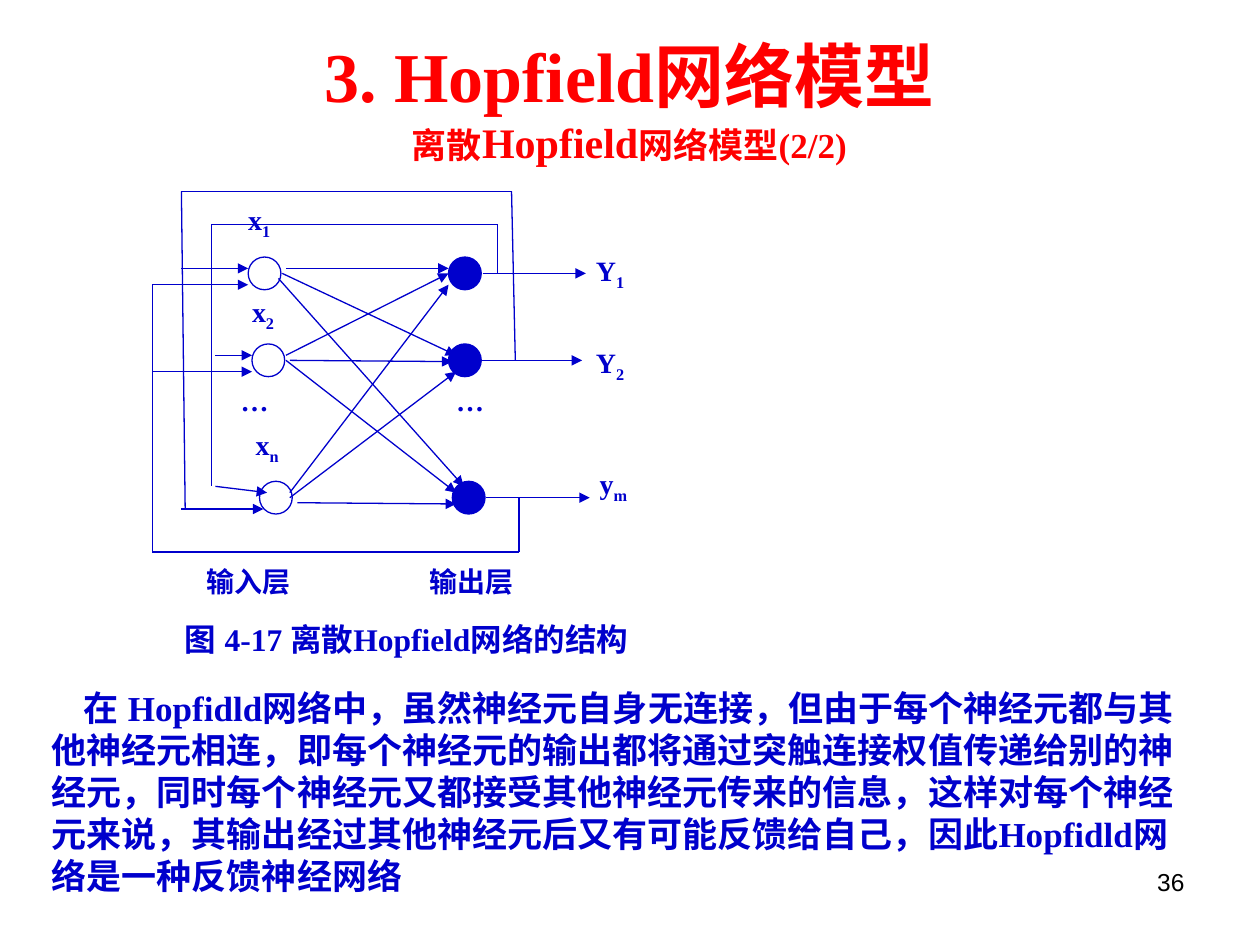
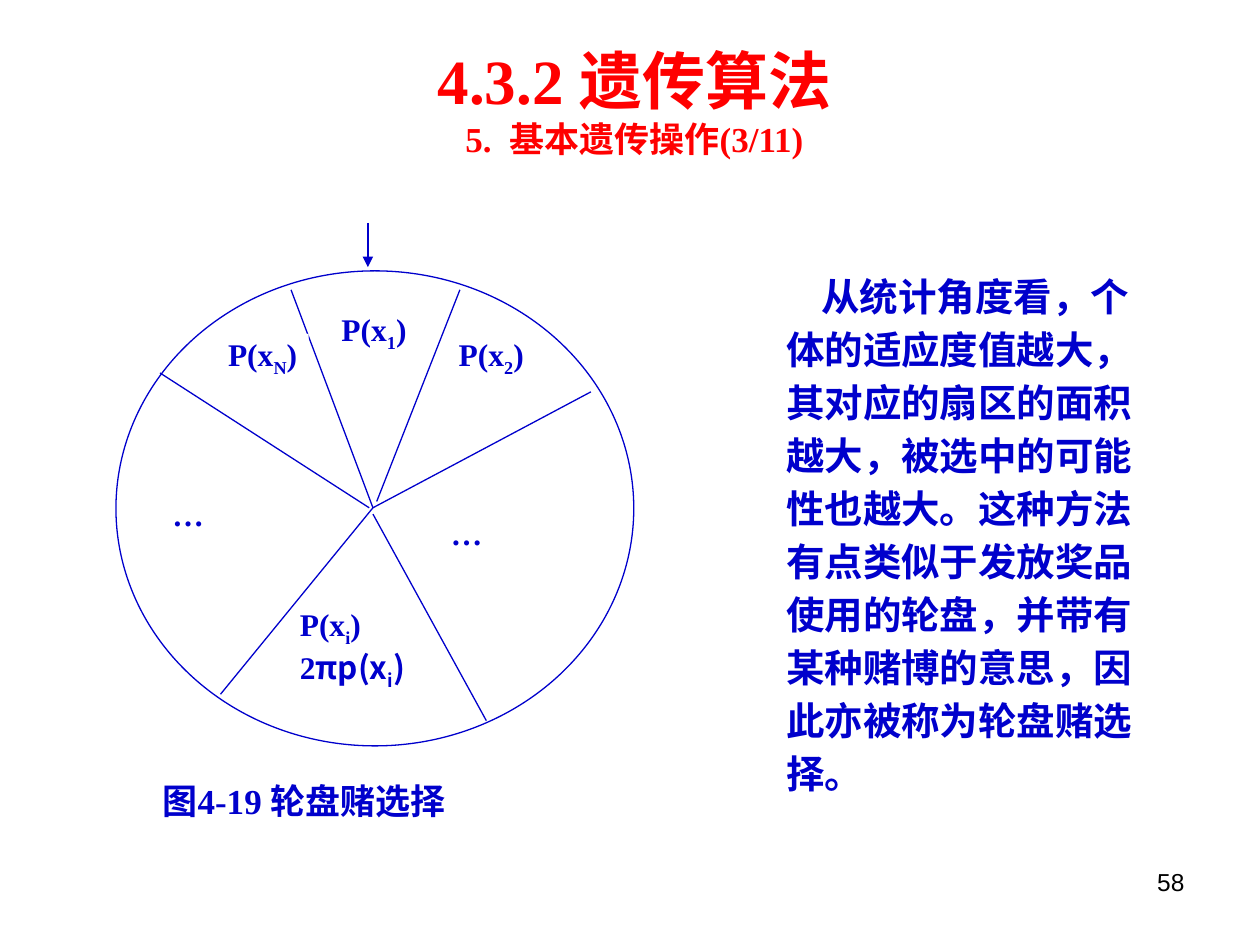
from dataclasses import dataclass

import pptx
import pptx.dml.color
import pptx.enum.shapes
import pptx.enum.text
import pptx.oxml
import pptx.oxml.ns
import pptx.util
from lxml import etree

RED = pptx.dml.color.RGBColor(0xFF, 0x00, 0x00)
BLUE = pptx.dml.color.RGBColor(0x00, 0x00, 0xCC)
WHITE = pptx.dml.color.RGBColor(0xFF, 0xFF, 0xFF)
BLACK = pptx.dml.color.RGBColor(0x00, 0x00, 0x00)
SERIF, SANS, CJK = "Times New Roman", "Arial", "Noto Sans CJK SC"
ALIGN = pptx.enum.text.PP_ALIGN

# The slide is a grid of 100 columns by 75 rows of square cells
COLUMNS, ROWS = 100, 75
CELL = pptx.util.Inches(0.1)
NODE_SIZE = 2.6
OUTPUT_LENGTH = 8.2
WIDE_INSETS, LABEL_INSETS, NO_INSETS = (1, 0.5), (0.2, 0.1), (0, 0)


def cells(count):
    return pptx.util.Emu(round(count * CELL))


@dataclass
class Box:
    left: float
    top: float
    width: float
    height: float

    def inner(self, left, top, width, height):
        """A box whose place is given relative to this one."""
        return Box(self.left + left, self.top + top, width, height)

    def frame(self):
        return [cells(n) for n in (self.left, self.top, self.width, self.height)]


def write_text(shape, paragraphs, size=16, font=SERIF, color=BLUE, bold=True,
               align=ALIGN.LEFT, insets=LABEL_INSETS, indent=0, spacing=None):
    """Each paragraph is a list of texts or (text, overrides); | toggles subscript."""
    frame = shape.text_frame
    frame.word_wrap = True
    frame.auto_size = pptx.enum.text.MSO_AUTO_SIZE.NONE
    frame.vertical_anchor = pptx.enum.text.MSO_ANCHOR.TOP
    frame.margin_left = frame.margin_right = cells(insets[0])
    frame.margin_top = frame.margin_bottom = cells(insets[1])
    for index, pieces in enumerate(paragraphs):
        para = frame.add_paragraph() if index else frame.paragraphs[0]
        properties = para._p.get_or_add_pPr()
        properties.set("marL", "0")
        properties.set("indent", str(cells(indent)))
        etree.SubElement(properties, pptx.oxml.ns.qn("a:buNone"))
        para.alignment = align
        para.space_before = para.space_after = pptx.util.Pt(0)
        if spacing:
            para.line_spacing = spacing
        for piece in pieces:
            text, changes = piece if isinstance(piece, tuple) else (piece, {})
            for part_index, part in enumerate(text.split("|")):
                if not part:
                    continue
                span = para.add_run()
                span.text = part
                span.font.size = pptx.util.Pt(changes.get("size", size))
                span.font.name = changes.get("font", font)
                span.font.bold = bold
                span.font.color.rgb = color
                # Chinese characters take a sans-serif face
                east_asian = etree.SubElement(span.font._element, pptx.oxml.ns.qn("a:ea"))
                east_asian.set("typeface", changes.get("font", SANS))
                if part_index % 2:
                    span.font._element.set("baseline", "-25000")


def add_label(page, box, paragraphs, fill=WHITE, **style):
    label = page.shapes.add_textbox(*box.frame())
    if fill is not None:
        label.fill.solid()
        label.fill.fore_color.rgb = fill
    write_text(label, paragraphs, **style)


def fill_placeholder(page, index, box, paragraphs, **style):
    holder = page.placeholders[index]
    holder.left, holder.top, holder.width, holder.height = box.frame()
    write_text(holder, paragraphs, insets=WIDE_INSETS, **style)


def add_ellipse(page, box, fill):
    ellipse = page.shapes.add_shape(pptx.enum.shapes.MSO_SHAPE.OVAL, *box.frame())
    ellipse.shadow.inherit = False
    ellipse.fill.solid()
    ellipse.fill.fore_color.rgb = fill
    ellipse.line.color.rgb = BLUE
    ellipse.line.width = pptx.util.Pt(0.75)


def add_line(page, box, start, end, arrow=False):
    ends = [cells(n) for x, y in (start, end) for n in (box.left + x, box.top + y)]
    line = page.shapes.add_connector(pptx.enum.shapes.MSO_CONNECTOR.STRAIGHT, *ends)
    line.line.color.rgb = BLUE
    line.line.width = pptx.util.Pt(0.75)
    if arrow:
        head = etree.SubElement(line.line._get_or_add_ln(), pptx.oxml.ns.qn("a:tailEnd"))
        head.set("type", "triangle")
    etree.SubElement(line._element.spPr, pptx.oxml.ns.qn("a:effectLst"))


def add_page(deck, number, title_box, title, body_box, body, body_style):
    """A page with the shared title, body text and page number."""
    page = deck.slides.add_slide(deck.slide_layouts[1])
    fill_placeholder(page, 0, title_box, title, color=RED, align=ALIGN.CENTER)
    fill_placeholder(page, 1, body_box, [[body]], **body_style)
    add_label(page, Box(71.7, 68.3, 23.3, 5.2), [[str(number)]], fill=None, size=14,
              font=SANS, color=BLACK, bold=False, align=ALIGN.RIGHT, insets=WIDE_INSETS)
    return page


def draw_network(page, box):
    # Labels of neurons and layers
    for left, top, width, text in (
            (7.7, 1.1, 3.3, "x|1"), (8, 8.4, 3.2, "x|2"), (8.3, 18.9, 3.3, "x|n"),
            (7.1, 15.4, 4.7, "…"), (24.2, 15.4, 4.7, "…")):
        add_label(page, box.inner(left, top, width, 3.9), [[text]], insets=NO_INSETS)
    for left, top, text in ((35.1, 5, "Y|1"), (35.1, 12.3, "Y|2"), (35.4, 21.9, "y|m")):
        add_label(page, box.inner(left, top, 5, 4.3), [[text]])
    for left, text in ((4.2, "输入层"), (21.9, "输出层")):
        add_label(page, box.inner(left, 29.7, 9.5, 4.7), [[text]])
    add_label(page, box.inner(-1.4, 34.1, 43.3, 4.8),
              [["图 4‑17 离散Hopfield网络的结构"]], size=18, align=ALIGN.CENTER)

    # Input and output neurons with the output arrows
    for top, input_left, output_left, output_start in (
            (5.4, 7.7, 23.6, 26.3), (12.3, 8, 23.6, 26), (23.2, 8.6, 23.9, 26.6)):
        add_ellipse(page, box.inner(input_left, top, NODE_SIZE, NODE_SIZE), WHITE)
        add_ellipse(page, box.inner(output_left, top, NODE_SIZE, NODE_SIZE), BLUE)
        middle = top + NODE_SIZE / 2
        add_line(page, box, (output_start, middle),
                 (output_start + OUTPUT_LENGTH, middle), arrow=True)

    # Weighted links from inputs to outputs, then arrows that feed back
    arrows = (
        ((10.7, 6.3), (23.6, 6.3)), ((10.4, 6.7), (24.2, 13.2)), ((10.1, 7.1), (24.8, 23.6)),
        ((10.7, 13.2), (23.6, 6.7)), ((11, 13.6), (23.9, 13.7)), ((10.7, 13.6), (24.2, 24.1)),
        ((11, 24.1), (23.6, 7.6)), ((11, 24.5), (24.2, 14.5)), ((11.6, 24.9), (24.2, 25)),
        ((5.1, 13.2), (8, 13.2)), ((5.1, 23.6), (9.2, 24.1)),
        ((2.4, 6.3), (7.7, 6.3)), ((2.4, 25.4), (8.9, 25.4)),
        ((0.1, 7.6), (7.7, 7.6)), ((0.1, 14.5), (8, 14.5)),
    )
    for start, end in arrows:
        add_line(page, box, start, end, arrow=True)

    # Feedback loops, one for each output
    loops = (
        ((27.5, 6.7), (27.5, 2.8), (4.8, 2.8), (4.8, 23.6)),
        ((28.9, 13.6), (28.6, 0.2), (2.4, 0.2), (2.7, 25.4)),
        ((29.2, 24.5), (29.2, 28.8), (0.1, 28.8), (0.1, 7.6)),
    )
    for corners in loops:
        for start, end in zip(corners, corners[1:]):
            add_line(page, box, start, end)


def draw_wheel(page, box):
    # Wheel, sector borders and pointer
    add_ellipse(page, box.inner(0.2, 4.5, 41.1, 37.7), WHITE)
    borders = (
        ((20.9, 22.8), (27.5, 6)), ((20.6, 23.3), (14.1, 6)), ((20.6, 23.3), (37.9, 14.1)),
        ((20.6, 23.3), (8.5, 38.1)), ((20.6, 23.8), (29.6, 40.2)), ((20.3, 23.3), (3.7, 12.6)),
    )
    for start, end in borders:
        add_line(page, box, start, end)
    add_line(page, box, (20.2, 0.7), (20.2, 4.2), arrow=True)

    # Sector labels and caption
    for left, top, width, height, text in (
            (17.9, 7.5, 6.6, 5.1, "P(x|1|)"), (27.2, 9.5, 6.9, 5.6, "P(x|2|)"),
            (8.9, 9.5, 6.6, 5.6, "P(x|N|)")):
        add_label(page, box.inner(left, top, width, height), [[text]], size=18)
    for left, top, width, height in ((25.8, 23.3, 10.4, 6.1), (3.7, 21.8, 11.4, 6.6)):
        add_label(page, box.inner(left, top, width, height), [["…"]], size=18,
                  insets=WIDE_INSETS)
    add_label(page, box.inner(14.8, 31, 9, 9.2),
              [["P(x|i|)"], ["2", ("πp(x|i|)", {"font": CJK})]], size=18, insets=NO_INSETS)
    add_label(page, box.inner(3.3, 44.8, 36.6, 7.6), [["图4-19 轮盘赌选择"]],
              size=20, insets=(0.6, 0.1))


def build_network_page(deck):
    title = [[("3. Hopfield网络模型", {"size": 40})],
             [("离散", {"size": 20}), ("Hopfield", {"size": 24}),
              ("网络模型(2/2)", {"size": 20})]]
    body = ("在 Hopfidld网络中，虽然神经元自身无连接，但由于每个神经元都与其他神经元相连，"
            "即每个神经元的输出都将通过突触连接权值传递给别的神经元，同时每个神经元又都接受"
            "其他神经元传来的信息，这样对每个神经元来说，其输出经过其他神经元后又有可能反馈给"
            "自己，因此Hopfidld网络是一种反馈神经网络")
    page = add_page(deck, 36, Box(9, 2.1, 81.9, 11.7), title,
                    Box(3.1, 54, 92.5, 17.7), body, {"size": 20, "indent": 2.5})
    draw_network(page, Box(12, 15, 40, 39))


def build_wheel_page(deck):
    title = [[("4.3.2 遗传算法", {"size": 36})], [("5.  基本遗传操作(3/11)", {"size": 20})]]
    body = ("从统计角度看，个体的适应度值越大，其对应的扇区的面积越大，被选中的可能性也越大。"
            "这种方法有点类似于发放奖品使用的轮盘，并带有某种赌博的意思，因此亦被称为轮盘赌选择。")
    page = add_page(deck, 58, Box(3.5, 2.8, 93.7, 10.4), title,
                    Box(61.4, 20.6, 31.5, 43.2), body,
                    {"size": 22, "indent": 2.8, "spacing": 1.15})
    draw_wheel(page, Box(9, 17, 42, 52))


def main():
    deck = pptx.Presentation()
    deck.slide_width, deck.slide_height = cells(COLUMNS), cells(ROWS)
    build_network_page(deck)
    build_wheel_page(deck)
    deck.save("out.pptx")


if __name__ == "__main__":
    main()
